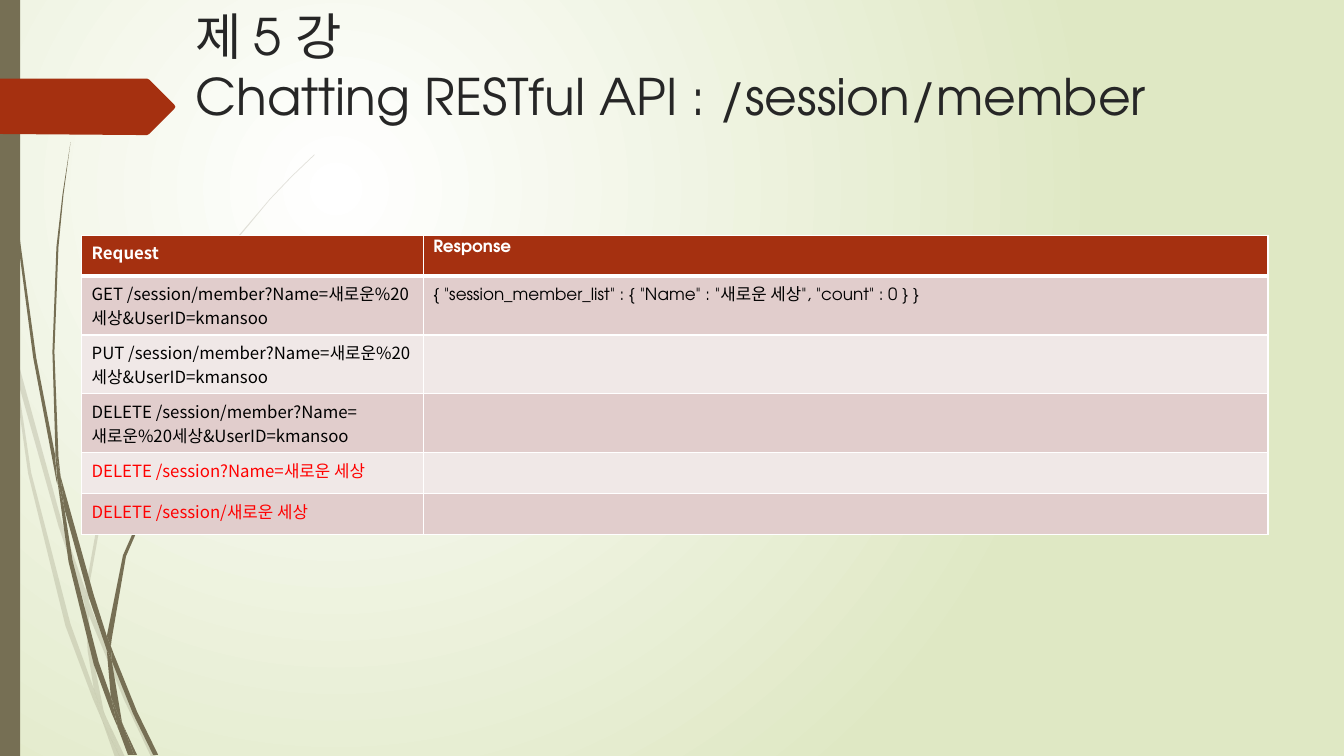
from lxml.etree import SubElement
from pptx import Presentation
from pptx.dml.color import RGBColor
from pptx.enum.shapes import MSO_SHAPE
from pptx.enum.text import MSO_ANCHOR, PP_ALIGN
from pptx.oxml.ns import qn
from pptx.util import Pt

COLORS = {
    "glow": "FFFFFF", "meadow": "DFE8C4", "stem": "766F54", "accent": "A53010",
    "title": "262626", "text": "000000", "alert": "FF0000", "white": "FFFFFF",
    "band_dark": "E1CDCC", "band_light": "F0E8E7",
}
LATIN, KOREAN = "TeX Gyre Adventor", "Noto Sans CJK KR"
HUNDREDTH_INCH = Pt(0.72)

PALE_WISPS = [
    "11,350 9,322 0,282 0,299 10,344",
    "58,522 84,599 85,586 62,520 14,345 17,376",
    "92,607 88,596 88,610 123,694 150,751 155,751 127,692",
    "119,751 124,751 105,711",
    "93,683 70,619 31,469 17,376 11,350 28,470 65,621 92,693 101,714 99,707",
    "84,599 87,646 93,683 96,692 105,711 103,706 91,646 88,610 88,608",
    "88,584 110,462 160,349 229,245 268,198 290,175 312,154 312,153 289,175 268,197 "
    "228,244 158,348 107,461 85,584 85,586 88,596",
    "101,714 114,751 119,751",
    "88,608 88,610 88,596 85,586 84,599",
    "96,692 93,683 99,707 101,714 119,751 105,711",
]
DARK_WISPS = [
    "7,110 17,233 33,355 56,477 57,481 55,457 55,453 36,355 19,232 8,109 5,48 4,0 3,0 4,48",
    "88,592 106,645 106,633 106,631 93,590 60,472 64,505",
    "113,649 110,641 111,656 132,708 152,749 157,749 136,706",
    "110,691 98,657 72,556 64,505 57,477 68,557 93,659 111,708 117,722 116,717",
    "60,472 58,453 54,349 58,245 63,193 70,141 62,193 56,245 52,349 55,449",
    "133,749 136,749 122,719",
    "57,477 64,505 60,472 55,449 55,453",
    "111,633 125,552 158,476 205,406 231,374 245,359 261,344 260,344 245,358 231,373 "
    "204,405 156,474 122,551 106,631 110,641",
    "117,722 127,749 131,749",
    "106,645 110,691 116,706 122,719 121,716 111,656 109,651",
    "106,645 109,651 111,656 110,641 106,631 106,633",
    "116,706 110,691 116,717 117,722 130,749 133,749 122,719",
]
PENTAGON = ("173,108 148,133 146,134 136,134 0,133 0,78 136,78 146,78 "
            "148,79 173,104 174,106")

REQUESTS = [
    ("GET /session/member?Name=새로운%20세상&UserID=kmansoo", "text"),
    ("PUT /session/member?Name=새로운%20세상&UserID=kmansoo", "text"),
    ("DELETE /session/member?Name=새로운%20세상&UserID=kmansoo", "text"),
    ("DELETE /session?Name=새로운 세상", "alert"),
    ("DELETE /session/새로운 세상", "alert"),
]
MEMBER_LIST = '{ "session_member_list" : { "Name" : "새로운 세상", "count" : 0 } }'


def rgb(name):
    """Look up a named colour."""
    return RGBColor.from_string(COLORS[name])


def write_text(frame, text, size=12, font=LATIN, color="text", bold=False):
    """Write one left-aligned paragraph with its format."""
    paragraph = frame.paragraphs[0]
    paragraph.text = text
    paragraph.alignment = PP_ALIGN.LEFT
    for run in paragraph.runs:
        run.font.size, run.font.name, run.font.bold = Pt(size), font, bold
        run.font.color.rgb = rgb(color)
        SubElement(run.font._element, qn("a:ea"), typeface=KOREAN)


def paint(shape, color, opacity=100):
    """Give a shape a plain fill without line or shadow."""
    shape.shadow.inherit = False
    shape.fill.solid()
    shape.fill.fore_color.rgb = rgb(color)
    shape.line.fill.background()
    if opacity < 100:
        tint = shape.fill._xPr.find(f".//{qn('a:srgbClr')}")
        SubElement(tint, qn("a:alpha"), val=str(opacity * 1000))


def add_outline(slide, outline, color, opacity=100):
    """Draw a closed outline given in hundredths of an inch."""
    start, *others = [tuple(map(int, pair.split(","))) for pair in outline.split()]
    builder = slide.shapes.build_freeform(*start, scale=HUNDREDTH_INCH)
    builder.add_line_segments(others, close=True)
    paint(builder.convert_to_shape(), color, opacity)


def fill_background(slide):
    """Fill the background with a round glow at the upper left."""
    fill = slide.background.fill
    fill.gradient()
    for stop, color in zip(fill.gradient_stops, ("glow", "meadow")):
        stop.color.rgb = rgb(color)
    gradient = slide.element.find(f".//{qn('a:gradFill')}")
    gradient.remove(gradient.find(qn("a:lin")))
    circle = SubElement(gradient, qn("a:path"), path="circle")
    SubElement(circle, qn("a:fillToRect"), l="50000", t="50000", r="100000", b="100000")


def add_decoration(slide, left, top, width, height):
    """Draw the wisps, the side strip and the title arrow."""
    for outline in PALE_WISPS:
        add_outline(slide, outline, "stem", 20)
    for outline in DARK_WISPS:
        add_outline(slide, outline, "stem")
    strip = slide.shapes.add_shape(
        MSO_SHAPE.RECTANGLE, Pt(left), Pt(top), Pt(width), Pt(height))
    paint(strip, "stem")
    add_outline(slide, PENTAGON, "accent")


def add_title(slide, left, top, width, height):
    """Place the lecture title."""
    title = slide.shapes.title
    title.left, title.top, title.width, title.height = map(Pt, (left, top, width, height))
    title.text_frame.vertical_anchor = MSO_ANCHOR.TOP
    write_text(title.text_frame, "제 5 강\vChatting RESTful API : /session/member",
               size=36, color="title")


def set_borders(cell, **widths):
    """Draw white borders of the given widths around a cell."""
    properties = cell._tc.get_or_add_tcPr()
    for position, side in enumerate("LRTB"):
        line = properties.makeelement(qn(f"a:ln{side}"), w=str(Pt(widths.get(side, 1))))
        solid = SubElement(line, qn("a:solidFill"))
        SubElement(solid, qn("a:srgbClr"), val=COLORS["white"])
        properties.insert(position, line)


def add_api_table(slide, left, top, width, row_height, request_width):
    """Place the table of requests and responses."""
    rows = len(REQUESTS) + 1
    table = slide.shapes.add_table(
        rows, 2, Pt(left), Pt(top), Pt(width), Pt(row_height * rows)).table
    table.columns[0].width = Pt(request_width)
    table.columns[1].width = Pt(width - request_width)
    for index, row in enumerate(table.rows):
        row.height = Pt(row_height)
        band = "band_dark" if index % 2 else "band_light"
        for cell in row.cells:
            cell.fill.solid()
            cell.fill.fore_color.rgb = rgb(band if index else "accent")
            set_borders(cell, T=3 if index == 1 else 1, B=1 if index else 3)
    write_text(table.cell(0, 0).text_frame, "Request", font=KOREAN, color="white", bold=True)
    write_text(table.cell(0, 1).text_frame, "Response", color="white", bold=True)
    for index, (request, color) in enumerate(REQUESTS, 1):
        write_text(table.cell(index, 0).text_frame, request, font=KOREAN, color=color)
    write_text(table.cell(1, 1).text_frame, MEMBER_LIST)


def main():
    """Build the slide and save it."""
    deck = Presentation()
    deck.slide_width, deck.slide_height = Pt(960), Pt(540)
    slide = deck.slides.add_slide(deck.slide_layouts[5])
    fill_background(slide)
    add_decoration(slide, 0, 0, 14.4, 540)
    add_title(slide, 132.5, 0, 702, 100.8)
    add_api_table(slide, 58.3, 168, 847.4, 29.2, 244)
    deck.save("out.pptx")


if __name__ == "__main__":
    main()
